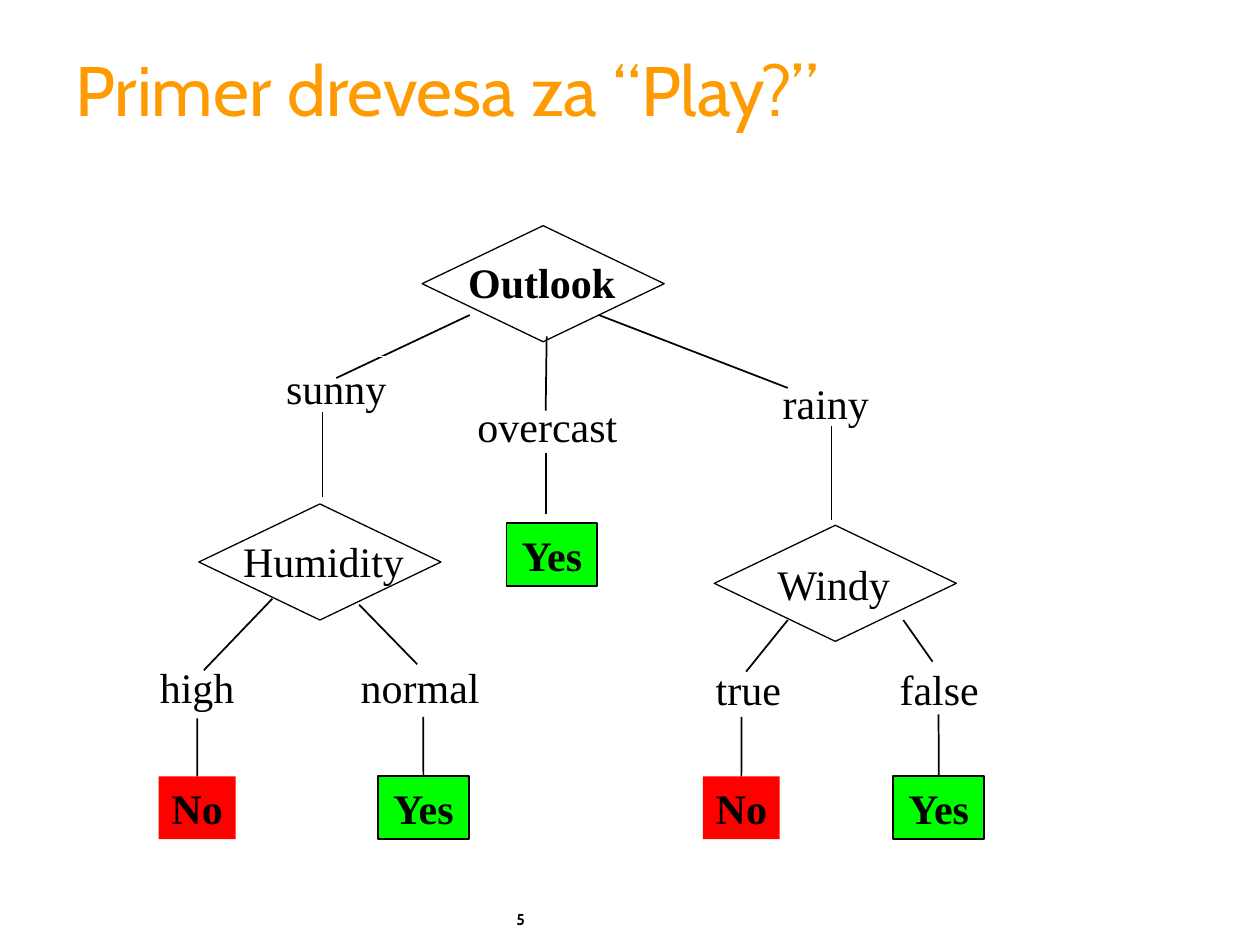
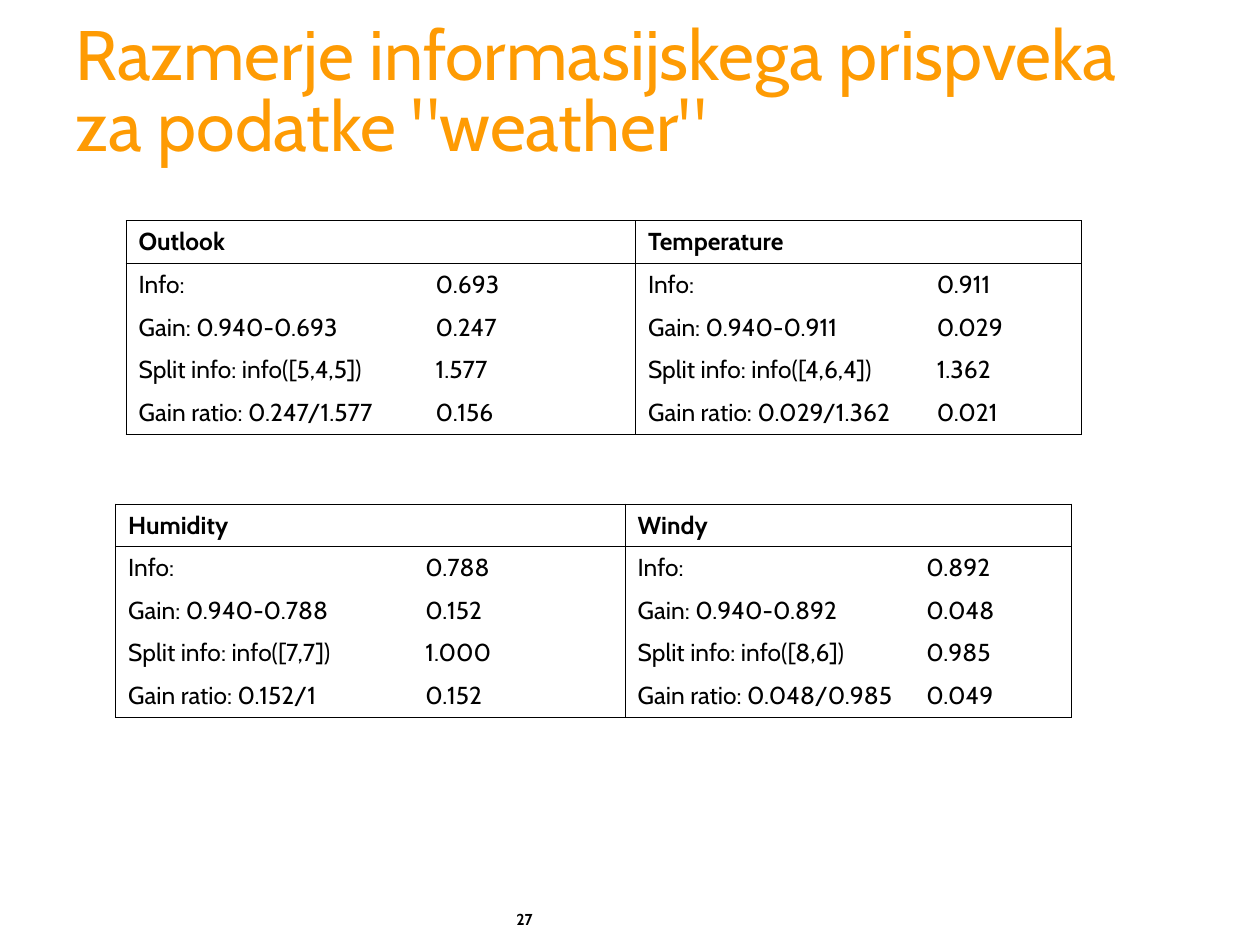
import lxml.etree
import pptx
import pptx.dml.color
import pptx.enum.shapes
import pptx.enum.text
import pptx.oxml.ns
import pptx.util

Cm = pptx.util.Cm
Pt = pptx.util.Pt
SHAPE = pptx.enum.shapes.MSO_SHAPE
ALIGN = pptx.enum.text.PP_ALIGN
qn = pptx.oxml.ns.qn


def rgb(value):
    return pptx.dml.color.RGBColor.from_string(value)


class Deck:
    """Holds the shared style and draws elements on the current slide."""

    BLACK, WHITE, ORANGE = "000000", "FFFFFF", "FE9B03"
    RED, GREEN = "FF0000", "00FF00"
    SANS, SERIF = "Cabin", "Times New Roman"
    BOX_H = 1.27

    def __init__(self):
        self.prs = pptx.Presentation()
        self.prs.slide_width, self.prs.slide_height = Cm(25.4), Cm(19.05)
        self.s = None

    def slide(self, title, number):
        self.s = self.prs.slides.add_slide(self.prs.slide_layouts[6])
        tf = self.text_box(1.27, 0.64, 23.06, 2.54)
        tf.vertical_anchor = pptx.enum.text.MSO_ANCHOR.MIDDLE
        tf.paragraphs[0].line_spacing = 0.85
        self.run(tf, title, self.SANS, 40, color=self.ORANGE)
        tf = self.text_box(10.16, 18.21, 2.59, 0.84)
        self.run(tf, number, self.SANS, 9, bold=True)

    def text_box(self, x, y, w, h):
        tf = self.s.shapes.add_textbox(Cm(x), Cm(y), Cm(w), Cm(h)).text_frame
        tf.word_wrap = True
        return tf

    def run(self, tf, text, font, size, bold=False, color=BLACK):
        r = tf.paragraphs[0].add_run()
        r.text = text
        r.font.name, r.font.size, r.font.bold = font, Pt(size), bold
        r.font.color.rgb = rgb(color)

    def shape(self, kind, x, y, w, h, fill=None, line=None, width=1):
        sp = self.s.shapes.add_shape(kind, Cm(x), Cm(y), Cm(w), Cm(h))
        sp.shadow.inherit = False
        if fill:
            sp.fill.solid()
            sp.fill.fore_color.rgb = rgb(fill)
        else:
            sp.fill.background()
        if line:
            sp.line.color.rgb = rgb(line)
            sp.line.width = Pt(width)
        else:
            sp.line.fill.background()
        return sp

    def label(self, text, x, y, w, bold=False, align=ALIGN.CENTER, fill=None, line=None):
        if fill or line:
            sp = self.shape(SHAPE.RECTANGLE, x, y, w, self.BOX_H, fill, line)
        else:
            sp = self.s.shapes.add_textbox(Cm(x), Cm(y), Cm(w), Cm(self.BOX_H))
        tf = sp.text_frame
        tf.word_wrap = False
        tf.auto_size = pptx.enum.text.MSO_AUTO_SIZE.SHAPE_TO_FIT_TEXT
        tf.paragraphs[0].alignment = align
        self.run(tf, text, self.SERIF, 24, bold)
        return sp

    def leaf(self, text, x, y):
        if text == "Yes":
            return self.label(text, x, y, 1.83, True, fill=self.GREEN, line=self.BLACK)
        return self.label(text, x, y, 1.55, True, fill=self.RED)

    def decision(self, text, x, y, text_x, text_y, text_w, bold=False):
        self.shape(SHAPE.DIAMOND, x, y, 4.88, 2.34, line=self.BLACK, width=0.75)
        self.label(text, text_x, text_y, text_w, bold, ALIGN.LEFT)

    def line(self, x1, y1, x2, y2, width=1, begin=None, end=None):
        c = self.s.shapes.add_connector(
            pptx.enum.shapes.MSO_CONNECTOR.STRAIGHT, Cm(x1), Cm(y1), Cm(x2), Cm(y2))
        if begin is not None:
            c.begin_connect(begin, 2)
        if end is not None:
            c.end_connect(end, 0)
        c.line.color.rgb = rgb(self.BLACK)
        c.line.width = Pt(width)
        lxml.etree.SubElement(c._element.spPr, qn("a:effectLst"))

    def borders(self, cell, sides):
        tc_pr = cell._tc.get_or_add_tcPr()
        for side in "LRTB":
            ln = lxml.etree.SubElement(tc_pr, qn("a:ln" + side), w=str(Pt(0.45)))
            if side in sides:
                fill = lxml.etree.SubElement(ln, qn("a:solidFill"))
                lxml.etree.SubElement(fill, qn("a:srgbClr"), val=self.BLACK)
            else:
                lxml.etree.SubElement(ln, qn("a:noFill"))

    def table(self, x, y, heads, rows):
        widths, row_h = (5.99, 4.28, 5.82, 3.17), 0.86
        count = len(rows) + 1
        tbl = self.s.shapes.add_table(
            count, len(widths), Cm(x), Cm(y), Cm(sum(widths)), Cm(row_h * count)).table
        tbl.first_row = tbl.horz_banding = False
        for col, w in zip(tbl.columns, widths):
            col.width = Cm(w)
        for row in tbl.rows:
            row.height = Cm(row_h)
        header = (heads[0], "", heads[1], "")
        for i, values in enumerate((header, *rows)):
            for j, text in enumerate(values):
                cell = tbl.cell(i, j)
                sides = "LR"[j % 2]
                if i == 0:
                    sides = "LRTB"
                elif i == 1:
                    sides += "T"
                elif i == count - 1:
                    sides += "B"
                self.borders(cell, sides)
                cell.fill.background()
                if text:
                    self.run(cell.text_frame, text, self.SANS, 14, bold=i == 0)
        for j in (0, 2):
            tbl.cell(0, j).merge(tbl.cell(0, j + 1))


def tree_slide(d):
    d.slide("Primer drevesa za “Play?”", "5")
    for branch in (
        (9.47, 6.35, 6.78, 7.62),
        (11.02, 6.78, 11, 8.28),
        (12.07, 6.35, 15.88, 7.82),
        (5.49, 12.07, 4.11, 13.51),
        (7.24, 12.19, 8.41, 13.39),
        (15.88, 12.5, 15.04, 13.54),
        (18.21, 12.5, 18.8, 13.34),
        (11, 9.14, 11, 10.36),
    ):
        d.line(*branch)
    d.label("sunny", 5.51, 7.19, 2.54, line=d.WHITE)
    d.label("overcast", 9.37, 7.95, 3.33)
    d.label("rainy", 15.52, 7.49, 2.26)
    high = d.label("high", 2.97, 13.21, 2.01)
    d.label("normal", 7.01, 13.21, 2.92)
    d.label("true", 14.17, 13.26, 1.83)
    d.label("false", 17.88, 13.26, 2.11)

    d.leaf("Yes", 10.21, 10.54)
    leaf_y = 15.65
    for text, x, stem_x, stem_y, begin in (
        ("No", 3.2, 3.98, 14.48, high),
        ("Yes", 7.62, 8.53, 14.45, None),
        ("No", 14.17, 14.95, 14.45, None),
        ("Yes", 18.01, 18.92, 14.4, None),
    ):
        sp = d.leaf(text, x, leaf_y)
        d.line(stem_x, stem_y, stem_x, leaf_y, begin=begin, end=sp)

    d.decision("Outlook", 8.51, 4.55, 9.19, 5.05, 3.55, bold=True)
    d.decision("Humidity", 4.01, 10.16, 4.65, 10.67, 3.85)
    d.decision("Windy", 14.4, 10.59, 15.42, 11.13, 2.85)
    d.line(6.5, 8.31, 6.5, 10.01, 0.75)
    d.line(16.76, 8.59, 16.76, 10.49, 0.75)


def gain_slide(d):
    d.slide('Razmerje informasijskega prispveka za podatke "weather"', "27")
    d.table(2.54, 4.45, ("Outlook", "Temperature"), (
        ("Info:", "0.693", "Info:", "0.911"),
        ("Gain: 0.940-0.693", "0.247", "Gain: 0.940-0.911", "0.029"),
        ("Split info: info([5,4,5])", "1.577", "Split info: info([4,6,4])", "1.362"),
        ("Gain ratio: 0.247/1.577", "0.156", "Gain ratio: 0.029/1.362", "0.021"),
    ))
    d.table(2.33, 10.16, ("Humidity", "Windy"), (
        ("Info:", "0.788", "Info:", "0.892"),
        ("Gain: 0.940-0.788", "0.152", "Gain: 0.940-0.892", "0.048"),
        ("Split info: info([7,7])", "1.000", "Split info: info([8,6])", "0.985"),
        ("Gain ratio: 0.152/1", "0.152", "Gain ratio: 0.048/0.985", "0.049"),
    ))


def main():
    d = Deck()
    tree_slide(d)
    gain_slide(d)
    d.prs.save("out.pptx")


if __name__ == "__main__":
    main()
